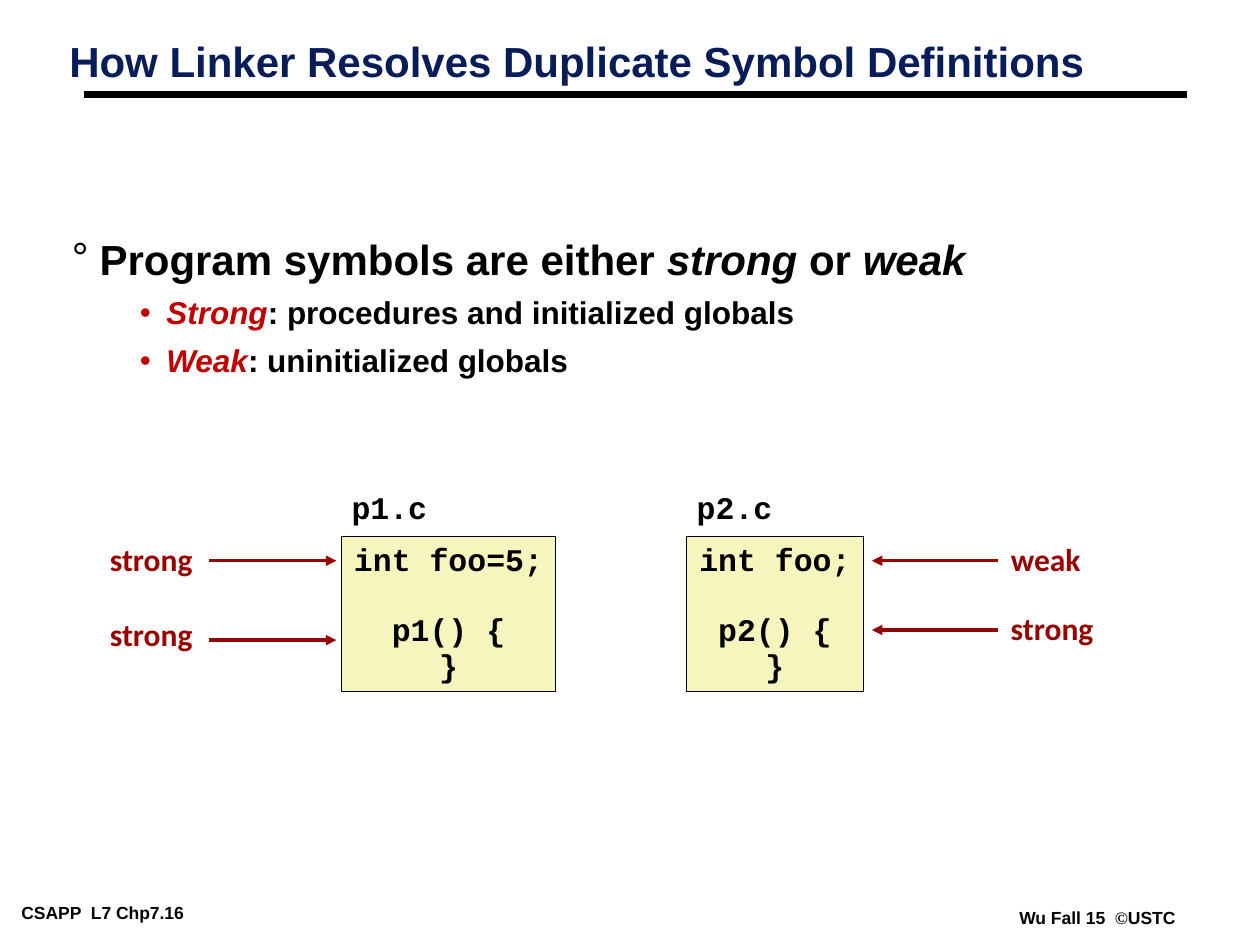
import pptx
import pptx.util
import pptx.dml.color
import pptx.enum.shapes
import pptx.enum.text
import pptx.oxml.ns
import lxml.etree

Inches = pptx.util.Inches
Pt = pptx.util.Pt
RGBColor = pptx.dml.color.RGBColor
ALIGN = pptx.enum.text.PP_ALIGN

BLACK = RGBColor(0x00, 0x00, 0x00)
NAVY = RGBColor(0x08, 0x1D, 0x58)
RED = RGBColor(0xC0, 0x00, 0x00)
DARK_RED = RGBColor(0x99, 0x00, 0x00)
CREAM = RGBColor(0xF6, 0xF5, 0xBD)

# Content: a run is (text, changes to the paragraph's format)
TITLE = "How Linker Resolves Duplicate Symbol Definitions"
STRESS = {"italic": True}
TERM = {"italic": True, "color": RED}
BULLETS = [
    ([("Program symbols are either ", {}), ("strong", STRESS), (" or ", {}), ("weak", STRESS)],
     {"size": 24, "bullet": ("°", BLACK), "indent": (0.22, -0.22), "spacing": 0.75}),
    ([("Strong", TERM), (": procedures and initialized globals", {})],
     {"size": 18, "bullet": ("•", RED), "indent": (0.75, -0.21), "spacing": 0.85, "before": 9}),
    ([("Weak", TERM), (": uninitialized globals", {})],
     {"size": 18, "bullet": ("•", RED), "indent": (0.75, -0.21), "spacing": 0.85, "before": 9}),
]
# Each file: name, box left and width, code lines
FILES = [
    ("p1.c", 2.71, 1.7, ["int foo=5;", "p1() {", "}"]),
    ("p2.c", 5.45, 1.4, ["int foo;", "p2() {", "}"]),
]
# Each symbol: word, label left, top and width, arrow start, end and height
SYMBOLS = [
    ("strong", 0.77, 4.25, 0.86, 1.66, 2.67, 4.45),
    ("strong", 0.77, 4.85, 0.86, 1.66, 2.67, 5.08),
    ("weak", 7.92, 4.25, 0.76, 7.92, 6.92, 4.45),
    ("strong", 7.92, 4.8, 0.86, 7.92, 6.92, 5.0),
]
FOOTERS = [
    (0.1, 7.13, 1.95, [("CSAPP  L7 Chp7.16", {})]),
    (8.02, 7.17, 1.38, [("Wu Fall 15  ", {}), ("©", {"font": "Times New Roman"}), ("USTC", {})]),
]
CODE_TOP, CODE_HEIGHT = 4.26, 1.23
LABEL_HEIGHT = 0.38
SLIM, NORMAL = (0.07, 0.03), (0.1, 0.05)

deck = pptx.Presentation()
deck.slide_width, deck.slide_height = Inches(10), Inches(7.5)
page = deck.slides.add_slide(deck.slide_layouts[6])


def set_bullet(para, sign, color, left, hanging):
    properties = para._p.get_or_add_pPr()
    properties.set("marL", str(Inches(left)))
    properties.set("indent", str(Inches(hanging)))
    tint = lxml.etree.SubElement(properties, pptx.oxml.ns.qn("a:buClr"))
    lxml.etree.SubElement(tint, pptx.oxml.ns.qn("a:srgbClr"), val=str(color))
    lxml.etree.SubElement(properties, pptx.oxml.ns.qn("a:buFont"), typeface="Arial")
    lxml.etree.SubElement(properties, pptx.oxml.ns.qn("a:buChar"), char=sign)


def write(para, runs, *, size, font="Arial", color=BLACK, align=ALIGN.LEFT,
          spacing=1.0, before=0, bullet=None, indent=(0, 0)):
    para.alignment = align
    para.line_spacing = spacing
    para.space_before = Pt(before)
    if bullet:
        set_bullet(para, *bullet, *indent)
    for text, change in runs:
        span = para.add_run()
        span.text = text
        span.font.size = Pt(size)
        span.font.bold = True
        span.font.name = change.get("font", font)
        span.font.italic = change.get("italic", False)
        span.font.color.rgb = change.get("color", color)


def set_frame(box, paragraphs, margins=NORMAL, wrap=False):
    frame = box.text_frame
    frame.word_wrap = wrap
    if not wrap:
        frame.auto_size = pptx.enum.text.MSO_AUTO_SIZE.SHAPE_TO_FIT_TEXT
    frame.vertical_anchor = pptx.enum.text.MSO_ANCHOR.TOP
    frame.margin_left = frame.margin_right = Inches(margins[0])
    frame.margin_top = frame.margin_bottom = Inches(margins[1])
    for index, (runs, style) in enumerate(paragraphs):
        para = frame.add_paragraph() if index else frame.paragraphs[0]
        write(para, runs, **style)


def add_text(place, paragraphs, **layout):
    box = page.shapes.add_textbox(*map(Inches, place))
    set_frame(box, paragraphs, **layout)


def add_line(start, end, color, width, arrow=False):
    line = page.shapes.add_connector(pptx.enum.shapes.MSO_CONNECTOR.STRAIGHT,
                                     *map(Inches, start + end))
    line.line.color.rgb = color
    line.line.width = Pt(width)
    if arrow:
        lxml.etree.SubElement(line.line._get_or_add_ln(), pptx.oxml.ns.qn("a:tailEnd"),
                              type="triangle")
    lxml.etree.SubElement(line._element.spPr, pptx.oxml.ns.qn("a:effectLst"))


# Footers and title with its rule
for left, top, width, runs in FOOTERS:
    add_text((left, top, width, 0.22), [(runs, {"size": 10})], margins=SLIM)
add_line((0.67, 0.75), (9.42, 0.75), BLACK, 4.5)
add_text((0.48, 0.31, 9.53, 0.86),
         [([(TITLE, {})], {"size": 24, "color": NAVY, "spacing": 0.87})],
         margins=SLIM, wrap=True)

# Bullets
add_text((0.5, 1.92, 9.09, 1.58), BULLETS, margins=SLIM, wrap=True)

# Source files: a gap of one line parts the variable from the procedure
code_style = {"size": 18, "font": "Courier New", "align": ALIGN.CENTER, "spacing": 0.94}
for name, left, width, lines in FILES:
    box = page.shapes.add_shape(pptx.enum.shapes.MSO_SHAPE.RECTANGLE, Inches(left),
                                Inches(CODE_TOP), Inches(width), Inches(CODE_HEIGHT))
    box.shadow.inherit = False
    box.fill.solid()
    box.fill.fore_color.rgb = CREAM
    box.line.color.rgb = BLACK
    box.line.width = Pt(0.25)
    set_frame(box, [([(line, {})], {**code_style, "before": 20 if index == 1 else 0})
                    for index, line in enumerate(lines)])
    add_text((left - 0.02, CODE_TOP - LABEL_HEIGHT - 0.03, 0.8, LABEL_HEIGHT),
             [([(name, {})], code_style)])

# Symbol labels and their arrows
label_style = {"size": 18, "font": "Calibri", "color": DARK_RED,
               "align": ALIGN.CENTER, "spacing": 0.98}
for word, left, top, width, start, end, height in SYMBOLS:
    add_text((left, top, width, 0.4), [([(word, {})], label_style)])
    add_line((start, height), (end, height), DARK_RED, 2, arrow=True)

deck.save("out.pptx")
